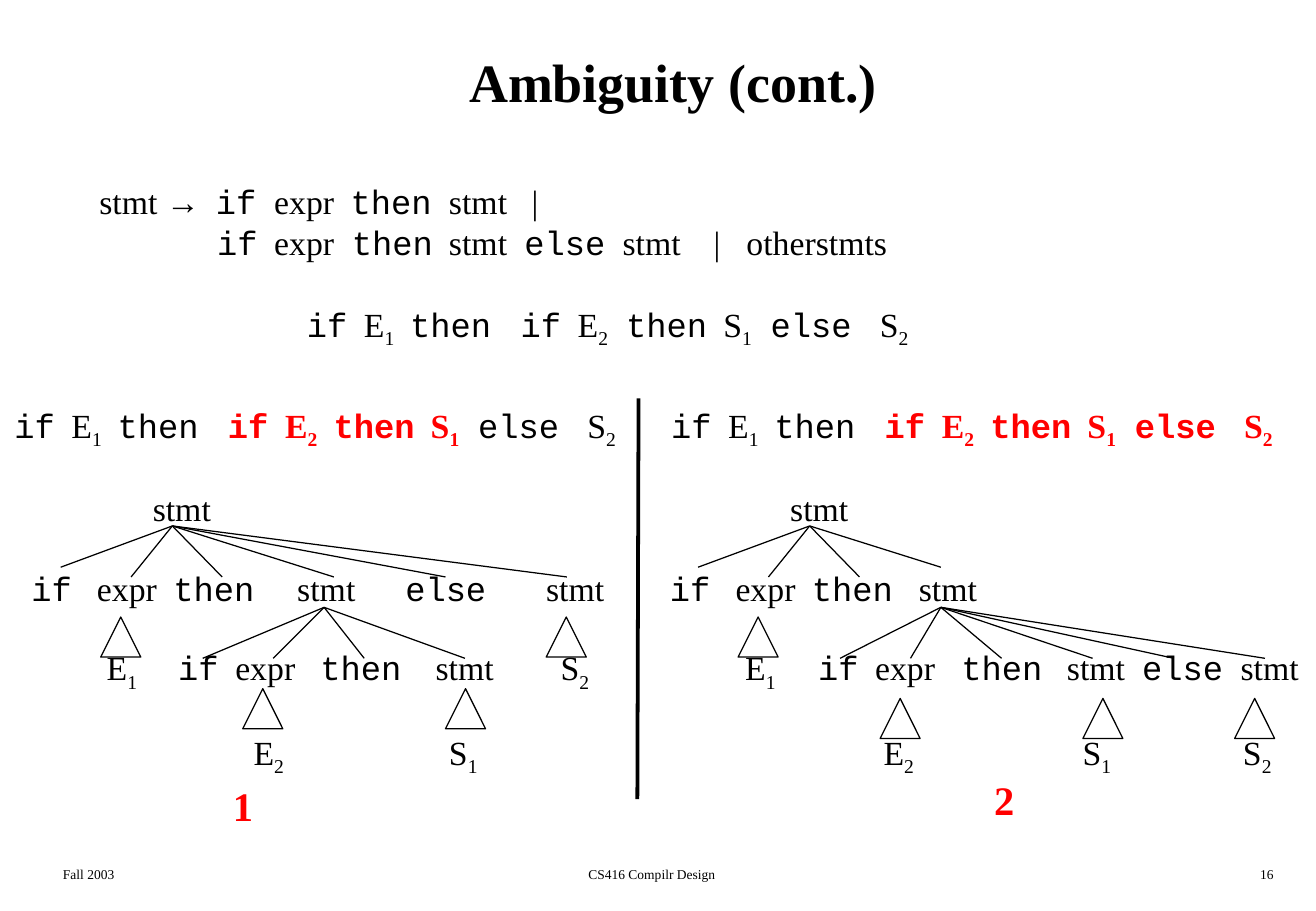
"""Build the dangling-else ambiguity slide with its two parse trees."""
import pptx
import pptx.dml.color
import pptx.enum.shapes
import pptx.enum.text
import pptx.oxml.ns
import pptx.util
from lxml import etree

PX = 9144
INSET = 10
THEME = {
    "serif": "Times New Roman", "code": "Courier New", "symbol": "Arial",
    "ink": pptx.dml.color.RGBColor(0, 0, 0),
    "accent": pptx.dml.color.RGBColor(255, 0, 0),
    "title": 32, "label": 24, "body": 20, "footer": 8,
    "thin": 0.75, "thick": 2.25,
}
FONTS = {"if": "code", "then": "code", "else": "code", "→": "symbol"}
ALIGN = pptx.enum.text.PP_ALIGN

prs = pptx.Presentation()
prs.slide_width, prs.slide_height = 1084 * PX, 750 * PX
s = prs.slides.add_slide(prs.slide_layouts[5])


def write(sp, box, rows, size, align=ALIGN.LEFT, bold=False, accent=(), gap=0):
    """Fill a shape with rows of (x, word), each word set at its own tab stop."""
    sp.left, sp.top, sp.width, sp.height = [v * PX for v in box]
    start = box[0] + INSET
    tf = sp.text_frame
    tf.word_wrap = True
    tf.auto_size = pptx.enum.text.MSO_AUTO_SIZE.NONE
    tf.margin_left, tf.margin_top, tf.margin_bottom = INSET * PX, 5 * PX, 5 * PX
    tf.margin_right = INSET * PX if align != ALIGN.LEFT else 0
    for n, row in enumerate(rows):
        p = tf.paragraphs[0] if n == 0 else tf.add_paragraph()
        p.alignment = align
        stops = [x - start for x, word in row if x > start]
        if stops:
            tabs = etree.SubElement(p._p.get_or_add_pPr(), pptx.oxml.ns.qn("a:tabLst"))
            for stop in stops:
                etree.SubElement(tabs, pptx.oxml.ns.qn("a:tab"), pos=str(stop * PX), algn="l")
        p.space_before = pptx.util.Pt(gap if n else 0)
        for i, (x, word) in enumerate(row):
            indexed = word[0] in "ES" and word[1:].isdigit()
            parts = [word[0], word[1:]] if indexed else [word]
            for k, part in enumerate(parts):
                r = p.add_run()
                r.text = "\t" + part if k == 0 and x > start else part
                r.font.name = THEME[FONTS.get(word, "serif")]
                r.font.size = pptx.util.Pt(THEME[size])
                r.font.bold = bold or i in accent
                r.font.color.rgb = THEME["accent" if i in accent else "ink"]
                if k:
                    r.font._element.set("baseline", "-25000")


def draw_line(start, end, width):
    """Draw a straight black line without a shadow."""
    c = s.shapes.add_connector(pptx.enum.shapes.MSO_CONNECTOR.STRAIGHT,
                               *[v * PX for v in (*start, *end)])
    c.line.color.rgb = THEME["ink"]
    c.line.width = pptx.util.Pt(THEME[width])
    etree.SubElement(c._element.spPr, pptx.oxml.ns.qn("a:effectLst"))


title = s.shapes.title
write(title, (42, 17, 1025, 100), [[(52, "Ambiguity (cont.)")]], "title", ALIGN.CENTER, True)
title.text_frame.vertical_anchor = pptx.enum.text.MSO_ANCHOR.MIDDLE

grammar = [
    [(82, "stmt"), (137, "→"), (178, "if"), (226, "expr"), (289, "then"), (370, "stmt"), (438, "|")],
    [(179, "if"), (226, "expr"), (290, "then"), (370, "stmt"), (432, "else"), (513, "stmt"),
     (588, "|"), (615, "otherstmts")],
]
write(s.shapes.add_textbox(0, 0, 0, 0), (72, 144, 669, 77), grammar, "body")

sentence = [(0, "if"), (47, "E1"), (85, "then"), (176, "if"), (223, "E2"),
            (263, "then"), (343, "S1"), (382, "else"), (472, "S2")]
for left, top, accent in ((243, 245, ()), (2, 328, range(3, 7)), (543, 328, range(3, 9))):
    row = [(left + INSET + x, word) for x, word in sentence]
    write(s.shapes.add_textbox(0, 0, 0, 0), (left, top, 517, 48), [row], "body", accent=accent)

trees = [
    ((16, 397, 492, 259), [
        [(126, "stmt")],
        [(26, "if"), (80, "expr"), (143, "then"), (245, "stmt"), (334, "else"), (450, "stmt")],
        [(88, "E1"), (147, "if"), (194, "expr"), (264, "then"), (359, "stmt"), (462, "S2")],
        [(209, "E2"), (370, "S1")],
    ]),
    ((542, 397, 538, 259), [
        [(651, "stmt")],
        [(552, "if"), (606, "expr"), (669, "then"), (757, "stmt")],
        [(614, "E1"), (674, "if"), (721, "expr"), (792, "then"), (879, "stmt"), (941, "else"),
         (1022, "stmt")],
        [(728, "E2"), (892, "S1"), (1024, "S2")],
    ]),
]
for box, rows in trees:
    write(s.shapes.add_textbox(0, 0, 0, 0), box, rows, "body", gap=23)

branches = {
    (142, 433): [(50, 467), (108, 475), (183, 475), (275, 475), (367, 475), (467, 475)],
    (267, 500): [(x, 542) for x in (167, 225, 300, 383)],
    (667, 433): [(575, 467), (633, 475), (708, 475), (775, 467)],
    (775, 500): [(x, 542) for x in (692, 750, 825, 900, 967, 1042)],
}
for parent, children in branches.items():
    for child in children:
        draw_line(parent, child, "thin")
draw_line((526, 328), (525, 658), "thick")

subtrees = {508: (83, 450, 608), 567: (200, 367), 575: (725, 892, 1017)}
for top, lefts in subtrees.items():
    for left in lefts:
        sp = s.shapes.add_shape(pptx.enum.shapes.MSO_SHAPE.ISOSCELES_TRIANGLE,
                                left * PX, top * PX, 33 * PX, 33 * PX)
        sp.shadow.inherit = False
        sp.fill.background()
        sp.line.color.rgb = THEME["ink"]
        sp.line.width = pptx.util.Pt(THEME["thin"])

for left, top, number in ((182, 638, "1"), (809, 633, "2")):
    write(s.shapes.add_textbox(0, 0, 0, 0), (left, top, 36, 50),
          [[(left + INSET, number)]], "label", accent=[0])

footers = [(334, 406, "CS416 Compilr Design", ALIGN.CENTER), (833, 226, "16", ALIGN.RIGHT),
           (42, 226, "Fall 2003", ALIGN.LEFT)]
for left, width, words, align in footers:
    write(s.shapes.add_textbox(0, 0, 0, 0), (left, 708, width, 25),
          [[(left + INSET, words)]], "footer", align)

prs.save("out.pptx")
